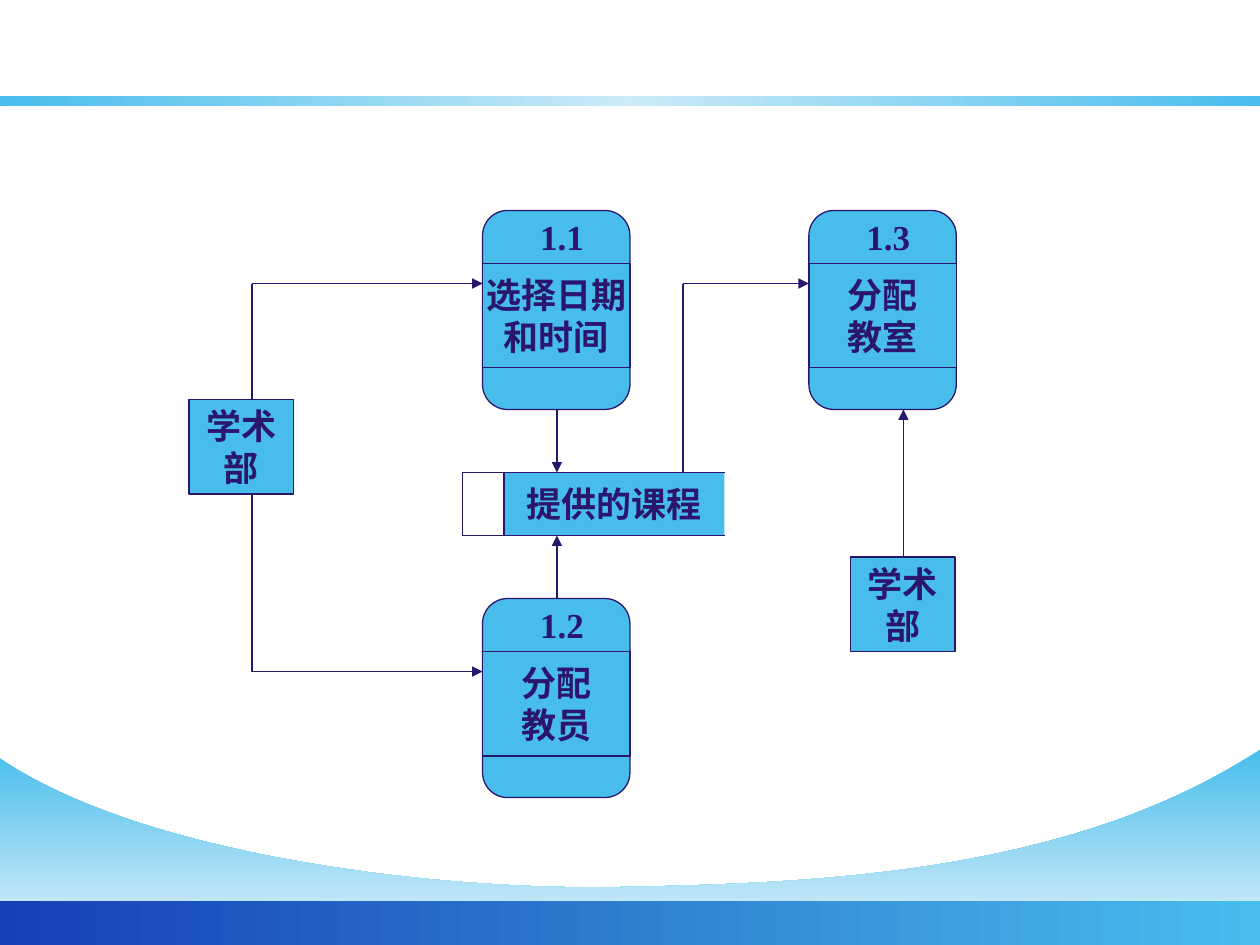
"""Build a data flow diagram slide for course scheduling."""

import dataclasses
import itertools
import typing

import lxml.etree
import pptx
import pptx.dml.color
import pptx.enum.shapes
import pptx.enum.text
import pptx.oxml.ns
import pptx.util

Inches = pptx.util.Inches
Shape = pptx.enum.shapes.MSO_SHAPE
Point = tuple[float, float]
qn = pptx.oxml.ns.qn

COLOURS = {
    "sky": "48BDEC",
    "ink": "2B166E",
    "pale": "E2F3FB",
    "mist": "CBEBF8",
    "royal": "1640B6",
}
LINE_WIDTH = pptx.util.Pt(0.75)
FONT = {"name": "Times New Roman", "size": pptx.util.Pt(20), "bold": True}
FRAME = {
    "word_wrap": False,
    "vertical_anchor": pptx.enum.text.MSO_ANCHOR.MIDDLE,
    "margin_left": Inches(0.1),
    "margin_right": Inches(0.1),
    "margin_top": Inches(0.05),
    "margin_bottom": Inches(0.05),
}


@dataclasses.dataclass(frozen=True)
class Process:
    left: float
    top: float
    number: str
    lines: tuple[str, ...]


@dataclasses.dataclass(frozen=True)
class Entity:
    left: float
    top: float
    lines: tuple[str, ...]


@dataclasses.dataclass(frozen=True)
class Route:
    points: tuple[Point, ...]
    arrow: bool = True


PROCESSES = (
    Process(3.83, 1.67, "1.1", ("选择日期", "和时间")),
    Process(3.83, 4.75, "1.2", ("分配", "教员")),
    Process(6.42, 1.67, "1.3", ("分配", "教室")),
)
ENTITIES = (
    Entity(1.5, 3.17, ("学术", "部")),
    Entity(6.75, 4.42, ("学术", "部")),
)
ROUTES = (
    Route(((5.75, 3.75), (3.67, 3.75), (3.67, 4.25), (5.75, 4.25)), False),
    Route(((4, 3.75), (4, 4.25)), False),
    Route(((7.17, 4.42), (7.17, 3.25))),
    Route(((4.42, 3.25), (4.42, 3.75))),
    Route(((4.42, 4.75), (4.42, 4.25))),
    Route(((2, 3.17), (2, 2.25), (3.83, 2.25))),
    Route(((2, 3.92), (2, 5.33), (3.83, 5.33))),
    Route(((5.42, 3.75), (5.42, 2.25), (6.42, 2.25))),
)
WAVE = (
    ((10, 5.95), (8.49, 6.95), (6.42, 7.01), (4.92, 7.04)),
    ((4.92, 7.04), (3.42, 7.07), (1.11, 6.78), (0, 6.02)),
)


def colour(name: str) -> pptx.dml.color.RGBColor:
    """Return a named colour."""
    return pptx.dml.color.RGBColor.from_string(COLOURS[name])


def apply(target: typing.Any, values: dict[str, typing.Any]) -> None:
    """Set each attribute in values on target."""
    for name, value in values.items():
        setattr(target, name, value)


def add_box(page, kind, left: float, top: float, width: float, height: float,
            lines: tuple[str, ...] = (), outlined: bool = True):
    """Draw a sky-blue box with optional centred lines of text."""
    box = page.shapes.add_shape(
        kind, Inches(left), Inches(top), Inches(width), Inches(height))
    box.shadow.inherit = False
    box.fill.solid()
    box.fill.fore_color.rgb = colour("sky")
    if outlined:
        box.line.color.rgb = colour("ink")
        box.line.width = LINE_WIDTH
    else:
        box.line.fill.background()
    apply(box.text_frame, FRAME)
    for index, text in enumerate(lines):
        frame = box.text_frame
        para = frame.add_paragraph() if index else frame.paragraphs[0]
        para.alignment = pptx.enum.text.PP_ALIGN.CENTER
        span = para.add_run()
        span.text = text
        apply(span.font, FONT)
        span.font.color.rgb = colour("ink")
    return box


def set_gradient(box, names: tuple[str, ...], angle: int) -> None:
    """Fill a box with evenly spaced gradient stops."""
    box.fill.gradient()
    box.fill.gradient_angle = angle
    stops = box._element.spPr.find(".//" + qn("a:gsLst"))
    for stop in list(stops):
        stops.remove(stop)
    for index, name in enumerate(names):
        position = str(index * 100000 // (len(names) - 1))
        stop = lxml.etree.SubElement(stops, qn("a:gs"), pos=position)
        lxml.etree.SubElement(stop, qn("a:srgbClr"), val=COLOURS[name])


def curve_points(curve: tuple[Point, ...], steps: int = 60) -> list[Point]:
    """Return points along a cubic curve."""
    weights = (1, 3, 3, 1)
    return [
        tuple(
            sum(weight * (1 - step / steps) ** (3 - power)
                * (step / steps) ** power * point[axis]
                for power, (weight, point) in enumerate(zip(weights, curve)))
            for axis in (0, 1))
        for step in range(steps + 1)
    ]


def add_background(page) -> None:
    """Draw the wave and the two gradient bands."""
    outline = [point for curve in WAVE for point in curve_points(curve)]
    builder = page.shapes.build_freeform(
        Inches(10), Inches(7.5), scale=1.0)
    builder.add_line_segments(
        [(Inches(x), Inches(y)) for x, y in outline + [(0, 7.5)]], close=True)
    wave = builder.convert_to_shape()
    wave.shadow.inherit = False
    wave.line.fill.background()
    set_gradient(wave, ("sky", "pale"), 270)
    for top, height, names in (
            (7.15, 0.36, ("sky", "royal")),
            (0.76, 0.08, ("sky", "mist", "sky"))):
        band = add_box(page, Shape.RECTANGLE, 0, top, 10, height, outlined=False)
        set_gradient(band, names, 180)


def add_process(page, process: Process) -> None:
    """Draw a rounded process with its number and name."""
    left, top = process.left, process.top
    body = add_box(page, Shape.ROUNDED_RECTANGLE, left, top, 1.17, 1.58)
    body.adjustments[0] = 0.17
    add_box(page, Shape.RECTANGLE, left, top + 0.42, 1.17, 0.83, process.lines)
    add_box(page, Shape.RECTANGLE, left + 0.34, top + 0.08, 0.58, 0.25,
            (process.number,), outlined=False)


def add_route(page, route: Route) -> None:
    """Draw straight segments, with an arrowhead on the last if wanted."""
    for start, end in itertools.pairwise(route.points):
        line = page.shapes.add_connector(
            pptx.enum.shapes.MSO_CONNECTOR.STRAIGHT,
            *(Inches(value) for value in start + end))
        line.line.color.rgb = colour("ink")
        line.line.width = LINE_WIDTH
        if route.arrow and end == route.points[-1]:
            lxml.etree.SubElement(
                line.line._get_or_add_ln(), qn("a:tailEnd"), type="triangle")
        lxml.etree.SubElement(line._element.spPr, qn("a:effectLst"))


def main() -> None:
    """Build and save the deck."""
    deck = pptx.Presentation()
    apply(deck, {"slide_width": Inches(10), "slide_height": Inches(7.5)})
    page = deck.slides.add_slide(deck.slide_layouts[6])
    add_background(page)
    for process in PROCESSES:
        add_process(page, process)
    for entity in ENTITIES:
        add_box(page, Shape.RECTANGLE, entity.left, entity.top, 0.83, 0.75,
                entity.lines)
    add_box(page, Shape.RECTANGLE, 4, 3.75, 1.75, 0.5, ("提供的课程",),
            outlined=False)
    for route in ROUTES:
        add_route(page, route)
    deck.save("out.pptx")


if __name__ == "__main__":
    main()
